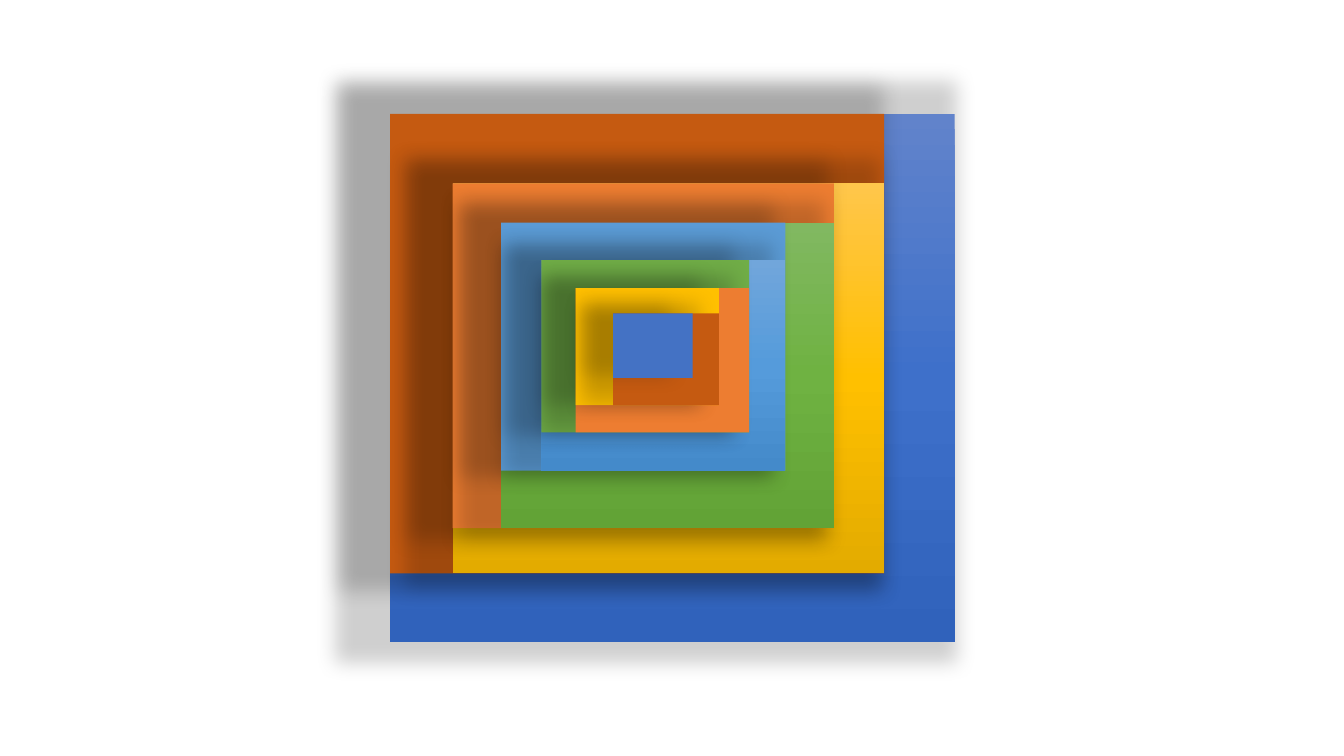
from copy import deepcopy
from itertools import pairwise

from pptx import Presentation as Deck
from pptx.dml.color import RGBColor as Rgb
from pptx.enum.shapes import MSO_SHAPE as Kind
from pptx.oxml import parse_xml as to_xml
from pptx.oxml.ns import nsdecls, qn
from pptx.util import Inches, Pt

WIDE, HIGH = 13.33, 7.5
COLS, ROWS = 1333, 750  # grid of hundredths of an inch

# Flat colours
RUST = Rgb(0xC5, 0x5A, 0x11)
ORANGE = Rgb(0xED, 0x7D, 0x31)
SKY = Rgb(0x5B, 0x9B, 0xD5)
GREEN = Rgb(0x70, 0xAD, 0x47)
GOLD = Rgb(0xFF, 0xC0, 0x00)
BLUE = Rgb(0x44, 0x72, 0xC4)

# Shaded colours, top to bottom
BLUES = Rgb(0x61, 0x83, 0xCB), Rgb(0x3E, 0x70, 0xCA), Rgb(0x30, 0x62, 0xBB)
GOLDS = Rgb(0xFF, 0xC6, 0x4B), GOLD, Rgb(0xE3, 0xAB, 0x00)
GREENS = Rgb(0x81, 0xB8, 0x61), Rgb(0x6F, 0xB2, 0x42), Rgb(0x62, 0xA3, 0x36)
SKIES = Rgb(0x71, 0xA6, 0xDB), Rgb(0x55, 0x9B, 0xDB), Rgb(0x44, 0x8A, 0xCA)

SHADE = {
    "blurRad": Pt(14.5), "dist": Pt(19), "dir": 192 * 60000,
    "sx": 110000, "sy": 110000, "algn": "ctr", "rotWithShape": 0,
}


class Page:
    """The style and the current slide."""

    def __init__(self, deck):
        self.slide = deck.slides.add_slide(deck.slide_layouts[6])
        self.group = self.slide.shapes.add_group_shape()
        self.unit = deck.slide_width / COLS, deck.slide_height / ROWS

    def tile(self, start, end, paint):
        """A rectangle between two grid points."""
        left, top = (round(n * u) for n, u in zip(start, self.unit))
        right, base = (round(n * u) for n, u in zip(end, self.unit))
        box = self.group.shapes.add_shape(
            Kind.RECTANGLE, left, top, right - left, base - top)
        box.line.fill.background()
        if isinstance(paint, Rgb):
            box.fill.solid()
            box.fill.fore_color.rgb = paint
        else:
            self.blend(box, paint)
        self.shade(box)

    def blend(self, box, tones):
        """A downward gradient with even stops."""
        fill = box.fill
        fill.gradient()
        fill.gradient_angle = 270
        stops = box.element.spPr.find(".//" + qn("a:gsLst"))
        stops.append(deepcopy(stops[-1]))
        for i, (stop, tone) in enumerate(zip(fill.gradient_stops, tones)):
            stop.color.rgb = tone
            stop.position = i / (len(tones) - 1)

    def shade(self, box):
        """A soft, enlarged shadow to the left."""
        box.shadow.inherit = False
        glow = to_xml(
            f'<a:outerShdw {nsdecls("a")}><a:srgbClr val="000000">'
            '<a:alpha val="18000"/></a:srgbClr></a:outerShdw>')
        for name, value in SHADE.items():
            glow.set(name, str(value))
        box.element.spPr.find(qn("a:effectLst")).append(glow)


deck = Deck()
deck.slide_width, deck.slide_height = Inches(WIDE), Inches(HIGH)
page = Page(deck)

# Nested tiles: the top left and bottom right corners step inward in turn
starts = [(387, 113), (449, 182), (497, 221), (537, 258), (571, 286), (608, 311)]
ends = [(947, 637), (877, 569), (827, 524), (779, 467), (743, 429), (713, 402),
        (687, 375)]
paints = [(BLUES, RUST), (GOLDS, ORANGE), (GREENS, SKY), (SKIES, GREEN),
          (ORANGE, GOLD), (RUST, BLUE)]

for start, pair, tones in zip(starts, pairwise(ends), paints):
    for end, paint in zip(pair, tones):
        page.tile(start, end, paint)

deck.save("out.pptx")
